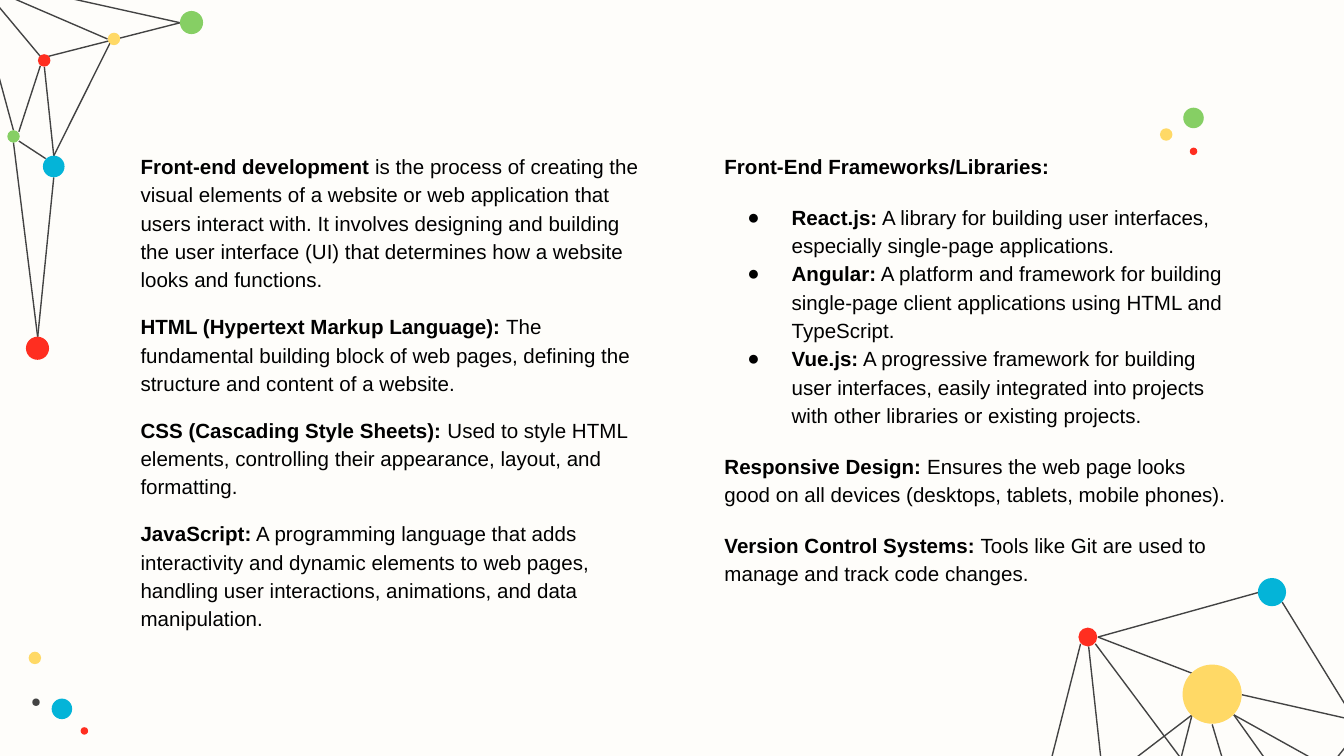
import lxml.etree
import pptx
import pptx.dml.color
import pptx.enum.shapes
import pptx.oxml.ns
import pptx.util

Pt = pptx.util.Pt
qn = pptx.oxml.ns.qn

GREEN, RED, YELLOW, BLUE, DARK = "86CF64", "FF2E20", "FFD966", "04B4D8", "434343"


def rgb(value):
    return pptx.dml.color.RGBColor.from_string(value)


class Deck:
    """Hold the style and the current slide, and draw each kind of element."""

    def __init__(self, prs):
        self.font = {"name": "Arial", "size": Pt(11)}
        self.frame = {"word_wrap": True}
        for side in ("left", "right", "top", "bottom"):
            self.frame["margin_" + side] = Pt(7.2)
        self.s = prs.slides.add_slide(prs.slide_layouts[6])

    def background(self, color):
        fill = self.s.background.fill
        fill.solid()
        fill.fore_color.rgb = rgb(color)

    def line(self, x1, y1, x2, y2):
        sp = self.s.shapes.add_connector(
            pptx.enum.shapes.MSO_CONNECTOR.STRAIGHT, Pt(x1), Pt(y1), Pt(x2), Pt(y2))
        sp.line.color.rgb = rgb(DARK)
        sp.line.width = Pt(0.75)
        lxml.etree.SubElement(sp._element.spPr, qn("a:effectLst"))

    def dot(self, x, y, d, color):
        sp = self.s.shapes.add_shape(
            pptx.enum.shapes.MSO_SHAPE.OVAL, Pt(x - d / 2), Pt(y - d / 2), Pt(d), Pt(d))
        sp.shadow.inherit = False
        sp.fill.solid()
        sp.fill.fore_color.rgb = rgb(color)
        sp.line.fill.background()

    def bullet(self, p):
        pPr = p._p.get_or_add_pPr()
        pPr.set("marL", str(Pt(36)))
        pPr.set("indent", str(Pt(-23.75)))
        clr = lxml.etree.SubElement(pPr, qn("a:buClr"))
        lxml.etree.SubElement(clr, qn("a:srgbClr"), val="000000")
        lxml.etree.SubElement(pPr, qn("a:buFont"), typeface="Arial")
        lxml.etree.SubElement(pPr, qn("a:buChar"), char="●")

    def text(self, x, y, w, h, paragraphs):
        tf = self.s.shapes.add_textbox(Pt(x), Pt(y), Pt(w), Pt(h)).text_frame
        for key, value in self.frame.items():
            setattr(tf, key, value)
        for i, (term, body, before, bulleted) in enumerate(paragraphs):
            p = tf.add_paragraph() if i else tf.paragraphs[0]
            if bulleted:
                self.bullet(p)
            for key, value in {"line_spacing": 1.15, "space_before": Pt(before)}.items():
                setattr(p, key, value)
            for words, bold in ((term, True), (body, False)):
                if words:
                    r = p.add_run()
                    r.text = words
                    for key, value in {**self.font, "bold": bold}.items():
                        setattr(r.font, key, value)
                    r.font.color.rgb = rgb("000000")


LINES = [
    # top left network
    (25.9, 30.2, 96.5, 12.2), (28.8, 95, 20.2, 180.7), (7.2, 76.3, 20.2, 180.7),
    (10.1, 75.6, 24.5, 85), (7.2, 69.8, -13.7, -7.2), (10.1, 70.6, 21.6, 35.3),
    (-10.8, -8.6, 21.6, 30.2), (-10.1, -11.5, 96.5, 12.2), (57.6, 20.9, -10.8, -8.6),
    (28.8, 83.5, 23.8, 36), (28.8, 83.5, 59, 23),
    # bottom right network
    (725.8, 393.8, 676.8, 455.8), (725.8, 385.9, 665.3, 372.2), (649.4, 388.1, 669.6, 455.8),
    (638.6, 383, 556.6, 445.7), (764.6, 528.5, 661, 383), (602.6, 524.2, 638.6, 383),
    (789.1, 454.3, 661, 383), (553.7, 444.2, 578.9, 344.9), (588.2, 341.3, 638.6, 360.7),
    (583.2, 346.3, 602.6, 524.2), (586.8, 344.9, 669.6, 455.8), (588.2, 341.3, 673.9, 317.5),
    (686.9, 322.6, 725.8, 385.9),
]

DOTS = [
    (102.6, 12.1, 12.4, GREEN), (20.1, 186.6, 12.4, RED), (61.1, 20.9, 6.7, YELLOW),
    (7.3, 73.1, 6.7, GREEN), (28.8, 89.2, 11.6, BLUE), (23.7, 32.4, 6.7, RED),
    (18.7, 352.5, 6.7, YELLOW), (33.2, 379.8, 11, BLUE), (45.2, 391.6, 4, RED),
    (19.3, 376.2, 4, DARK),
    (624.8, 72.1, 6.7, YELLOW), (639.4, 63.2, 11, GREEN), (639.4, 81.1, 4, RED),
    (649.4, 371.9, 31.7, YELLOW), (582.8, 341.3, 10.1, RED), (681.4, 317.2, 15.1, BLUE),
]

BASICS = [
    ("Front-end development", " is the process of creating the visual elements of a website or web "
     "application that users interact with. It involves designing and building the user interface "
     "(UI) that determines how a website looks and functions.", 0, False),
    ("HTML (Hypertext Markup Language):", " The fundamental building block of web pages, defining "
     "the structure and content of a website.", 10, False),
    ("CSS (Cascading Style Sheets):", " Used to style HTML elements, controlling their appearance, "
     "layout, and formatting.", 10, False),
    ("JavaScript:", " A programming language that adds interactivity and dynamic elements to web "
     "pages, handling user interactions, animations, and data manipulation.", 10, False),
]

TOOLS = [
    ("Front-End Frameworks/Libraries:", "", 0, False),
    ("React.js:", " A library for building user interfaces, especially single-page applications.",
     12, True),
    ("Angular:", " A platform and framework for building single-page client applications using "
     "HTML and TypeScript.", 0, True),
    ("Vue.js:", " A progressive framework for building user interfaces, easily integrated into "
     "projects with other libraries or existing projects.", 0, True),
    ("Responsive Design:", " Ensures the web page looks good on all devices (desktops, tablets, "
     "mobile phones).", 12, False),
    ("Version Control Systems:", " Tools like Git are used to manage and track code changes.",
     12, False),
]


def main():
    prs = pptx.Presentation()
    prs.slide_width, prs.slide_height = Pt(720), Pt(405)
    deck = Deck(prs)
    deck.background("FEFDFA")
    for line in LINES:
        deck.line(*line)
    for dot in DOTS:
        deck.dot(*dot)
    deck.text(68.2, 73.4, 288.7, 234.7, BASICS)
    deck.text(381, 73.4, 288.7, 246.2, TOOLS)
    prs.save("out.pptx")


if __name__ == "__main__":
    main()
